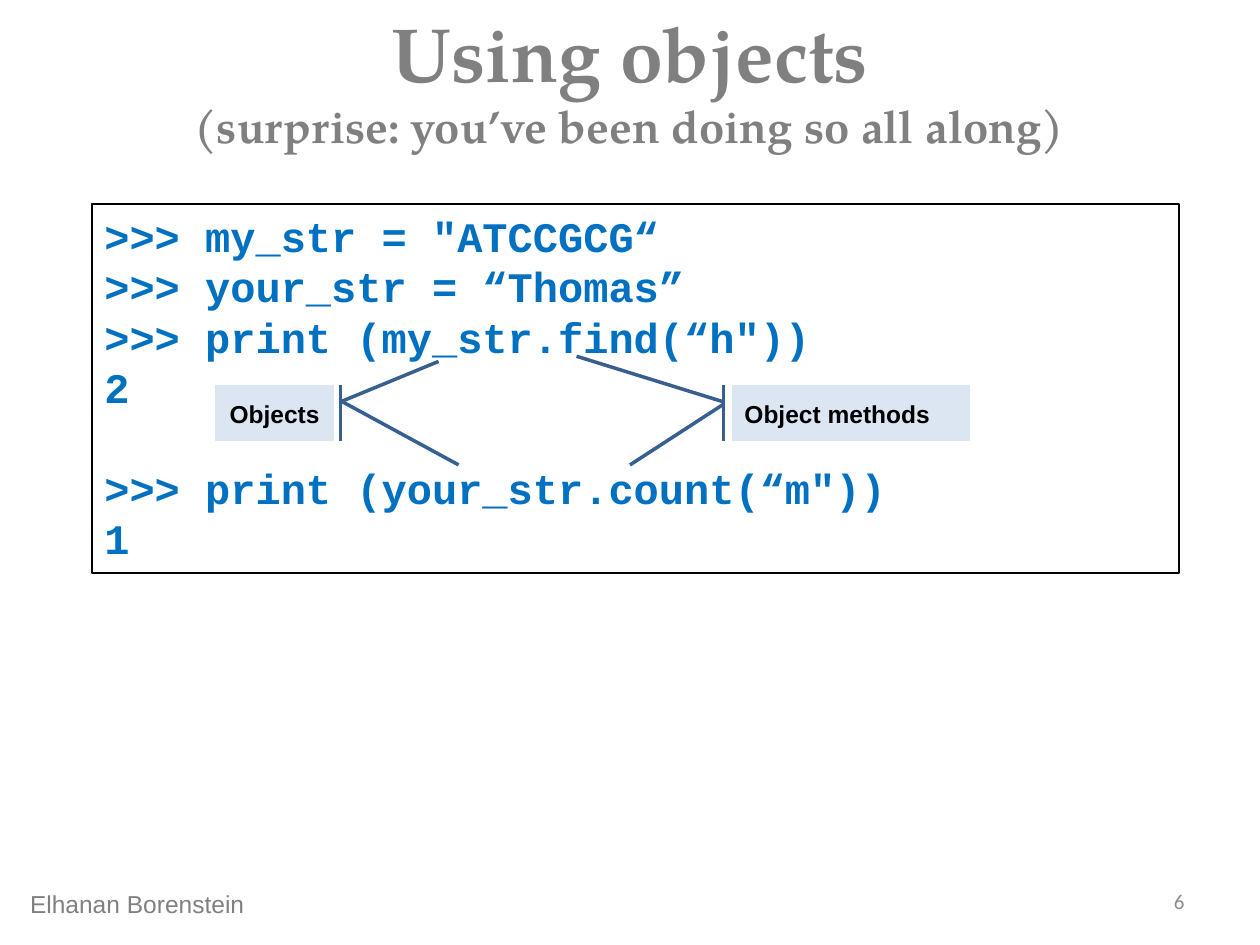
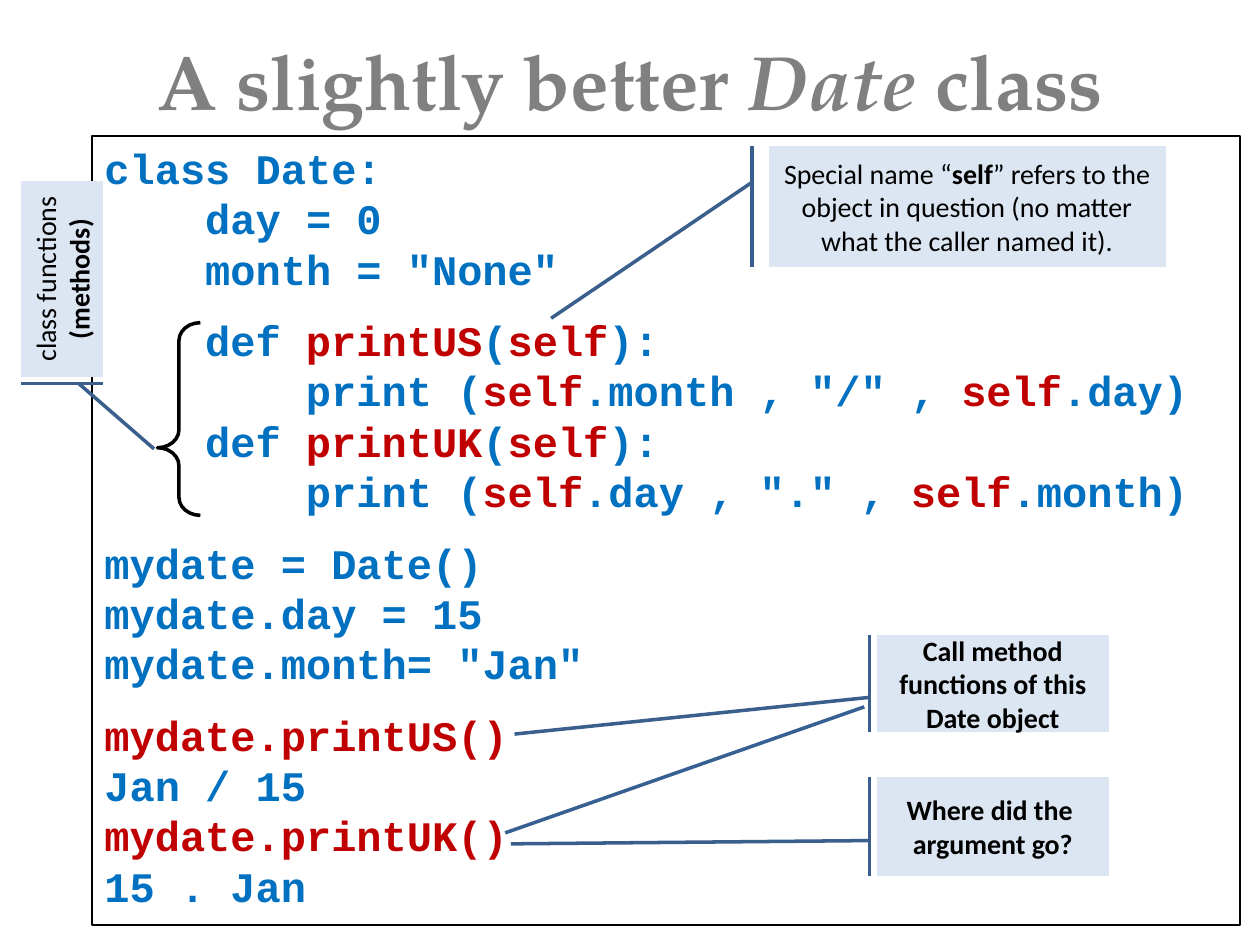
import pptx
import pptx.util
import pptx.dml.color
import pptx.enum.shapes
import pptx.enum.text
import pptx.oxml
from pptx.util import Inches, Pt

COLORS = {"title": "808080", "code": "0070C0", "accent": "C00000", "note": "DCE6F2",
          "bar": "3A5F8C", "pointer": "376092", "ink": "000000", "number": "8C8C8C"}
TITLE_FONT, CODE_FONT = "TeX Gyre Pagella", "Courier New"
SHAPE = pptx.enum.shapes.MSO_SHAPE
ALIGN = pptx.enum.text.PP_ALIGN
ANCHOR = pptx.enum.text.MSO_ANCHOR
INDENT = 0.8  # four characters of 24 point code

# Text between asterisks is emphasised.
# Code lines: (indent depth, gap above in points, text)
USING_TITLE = "Using objects\n*(surprise: you’ve been doing so all along)*"
USING_CODE = [
    (0, 0, '>>> my_str = "ATCCGCG“'),
    (0, 0, ">>> your_str = “Thomas”"),
    (0, 0, '>>> print (my_str.find(“h"))'),
    (0, 0, "2"),
    (0, 28.8, '>>> print (your_str.count(“m"))'),
    (0, 0, "1"),
]
DATE_TITLE = "A slightly better *Date* class"
DATE_CODE = [
    (0, 0, "class Date:"),
    (1, 0, "day = 0"),
    (1, 0, 'month = "None"'),
    (1, 12, "def *printUS*(*self*):"),
    (2, 0, 'print (*self*.month , "/" , *self*.day)'),
    (1, 0, "def *printUK*(*self*):"),
    (2, 0, 'print (*self*.day , "." , *self*.month)'),
    (0, 12, "mydate = Date()"),
    (0, 0, "mydate.day = 15"),
    (0, 0, 'mydate.month= "Jan"'),
    (0, 12, "*mydate.printUS()*"),
    (0, 0, "Jan / 15"),
    (0, 0, "*mydate.printUK()*"),
    (0, 0, "15 . Jan"),
]
# Notes: box, pointer (y, x of its start, y, x of its end, as shares of the box), text
USING_NOTES = [
    {"box": (1.71, 3.06, 0.94, 0.44), "pointer": (0.296, 1.056, -0.434, 1.884),
     "text": "*Objects*"},
    {"box": (5.81, 3.06, 1.89, 0.44), "pointer": (0.296, -0.036, -0.528, -0.653),
     "text": "*Object methods*", "align": ALIGN.LEFT},
]
USING_LINES = [((2.72, 3.19), (3.64, 3.69)), ((5, 3.69), (5.74, 3.21))]
DATE_NOTES = [
    {"box": (-0.29, 1.89, 1.56, 0.65), "pointer": (0.709, -0.032, 1.627, -0.364),
     "text": "class functions *(methods)*", "rotation": 270, "side": 0},
    {"box": (6.96, 5.04, 1.84, 0.77), "pointer": (0.643, -0.032, 1.021, -1.563),
     "text": "*Call method functions of this Date object*"},
    {"box": (6.1, 1.16, 3.15, 0.96), "pointer": (0.3, -0.042, 1.424, -0.548),
     "text": "Special name “*self*” refers to the object in question "
             "(no matter what the caller named it)."},
    {"box": (6.96, 6.17, 1.84, 0.78), "pointer": (0.643, -0.032, 0.676, -1.579),
     "text": "*Where did the \nargument go?*"},
]
DATE_LINES = [((4.01, 6.61), (6.86, 5.61))]


def rgb(name):
    """Return a named colour."""
    return pptx.dml.color.RGBColor.from_string(COLORS[name])


def bold(font):
    """Emphasise with bold."""
    font.bold = True


def italic(font):
    """Emphasise with italics."""
    font.italic = True


def smaller(font):
    """Set a subtitle size."""
    font.size = Pt(26)


def red(font):
    """Emphasise with the accent colour."""
    font.color.rgb = rgb("accent")


def write(p, text, face, size, color, strong=False, emphasis=bold, align=ALIGN.LEFT):
    """Fill a paragraph, emphasising the parts between asterisks."""
    p.alignment = align
    p.font.name, p.font.size, p.font.bold = face, Pt(size), strong
    p.font.color.rgb = rgb(color)
    for i, part in enumerate(text.split("*")):
        for j, line in enumerate(part.split("\n")):
            if j:
                p.add_line_break()
            if line:
                r = p.add_run()
                r.text = line
                if i % 2:
                    emphasis(r.font)


def add_shape(s, kind, box, line, width, fill=None):
    """Add a flat shape with an outline and an optional fill."""
    sp = s.shapes.add_shape(kind, *map(Inches, box))
    sp.shadow.inherit = False
    if fill:
        sp.fill.solid()
        sp.fill.fore_color.rgb = rgb(fill)
    else:
        sp.fill.background()
    sp.line.color.rgb = rgb(line)
    sp.line.width = Pt(width)
    return sp


def add_slide(prs, title, top, emphasis):
    """Add a title-only slide and format its title."""
    s = prs.slides.add_slide(prs.slide_layouts[5])
    sp = s.shapes.title
    sp.left, sp.top, sp.width, sp.height = map(Inches, (0, top, 10, 1.25))
    tf = sp.text_frame
    tf.auto_size = pptx.enum.text.MSO_AUTO_SIZE.NONE
    tf.vertical_anchor = ANCHOR.MIDDLE
    write(tf.paragraphs[0], title, TITLE_FONT, 44, "title", True, emphasis, ALIGN.CENTER)
    return s


def add_code(s, box, lines):
    """Add a framed code listing."""
    tf = add_shape(s, SHAPE.RECTANGLE, box, "ink", 1).text_frame
    tf.word_wrap = True
    tf.vertical_anchor = ANCHOR.TOP
    for i, (depth, gap, text) in enumerate(lines):
        p = tf.add_paragraph() if i else tf.paragraphs[0]
        write(p, text, CODE_FONT, 24, "code", True, red)
        p.space_before = Pt(gap)
        p._p.get_or_add_pPr().set("marL", str(Inches(INDENT * depth)))


def add_note(s, face, size, box, pointer, text, align=ALIGN.CENTER, rotation=0, side=0.1):
    """Add a callout with an accent bar and a pointer."""
    sp = add_shape(s, SHAPE.LINE_CALLOUT_1_ACCENT_BAR, box, "bar", 2, "note")
    for i, value in enumerate(pointer):
        sp.adjustments[i] = value
    sp.rotation = rotation
    tf = sp.text_frame
    tf.word_wrap = True
    tf.vertical_anchor = ANCHOR.MIDDLE
    tf.margin_left = tf.margin_right = Inches(side)
    write(tf.paragraphs[0], text, face, size, "ink", align=align)


def add_pointer(s, start, end):
    """Add a straight pointer line."""
    line = s.shapes.add_connector(pptx.enum.shapes.MSO_CONNECTOR.STRAIGHT,
                                  *map(Inches, start + end))
    line.line.color.rgb = rgb("pointer")
    line.line.width = Pt(2)
    line._element.spPr.append(pptx.oxml.parse_xml(
        '<a:effectLst xmlns:a="http://schemas.openxmlformats.org/drawingml/2006/main"/>'))


def add_footer(s, box, text, face, size, color, align, anchor):
    """Add one footer text."""
    tf = s.shapes.add_textbox(*map(Inches, box)).text_frame
    tf.word_wrap = True
    tf.vertical_anchor = anchor
    write(tf.paragraphs[0], text, face, size, color, align=align)


def annotate(s, lines, notes, face, size):
    """Add the pointers and notes of a slide."""
    for start, end in lines:
        add_pointer(s, start, end)
    for note in notes:
        add_note(s, face, size, **note)


prs = pptx.Presentation()
prs.slide_width, prs.slide_height = Inches(10), Inches(7.5)

s = add_slide(prs, USING_TITLE, 0, smaller)
add_code(s, (0.73, 1.62, 8.63, 2.93), USING_CODE)
annotate(s, USING_LINES, USING_NOTES, "Arial", 14)
add_footer(s, (7.17, 6.95, 2.33, 0.4), "6", "Calibri", 12, "number", ALIGN.RIGHT, ANCHOR.MIDDLE)
add_footer(s, (0.14, 7.01, 2.44, 0.34), "Elhanan Borenstein", "Arial", 14, "title",
           ALIGN.LEFT, ANCHOR.TOP)

s = add_slide(prs, DATE_TITLE, 0.01, italic)
add_code(s, (0.73, 1.08, 9.11, 6.26), DATE_CODE)
brace = add_shape(s, SHAPE.RIGHT_BRACE, (1.25, 2.56, 0.34, 1.53), "ink", 2)
brace.rotation = 180
brace.adjustments[0], brace.adjustments[1] = 0.419, 0.351
annotate(s, DATE_LINES, DATE_NOTES, "Calibri", 16)

prs.save("out.pptx")
